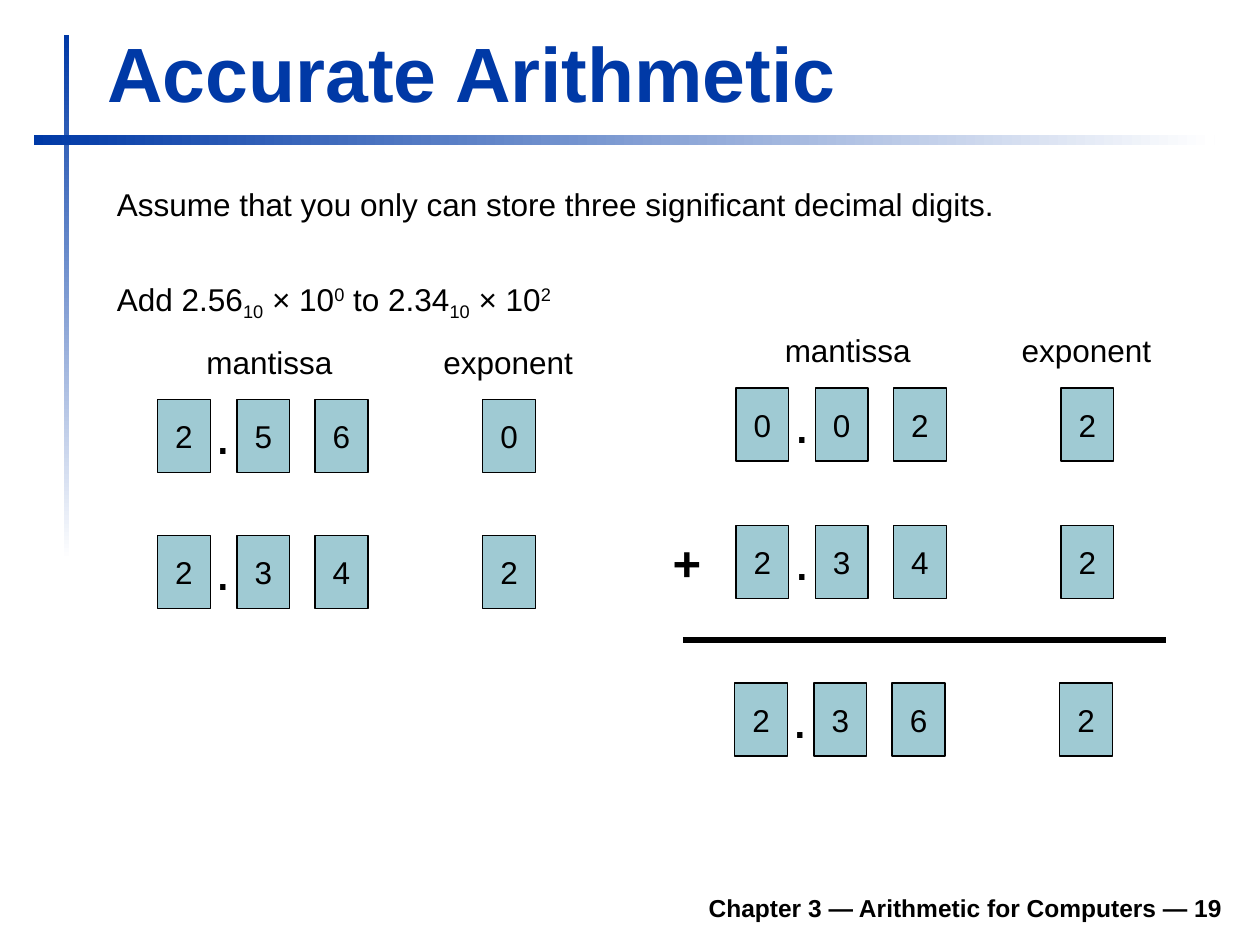
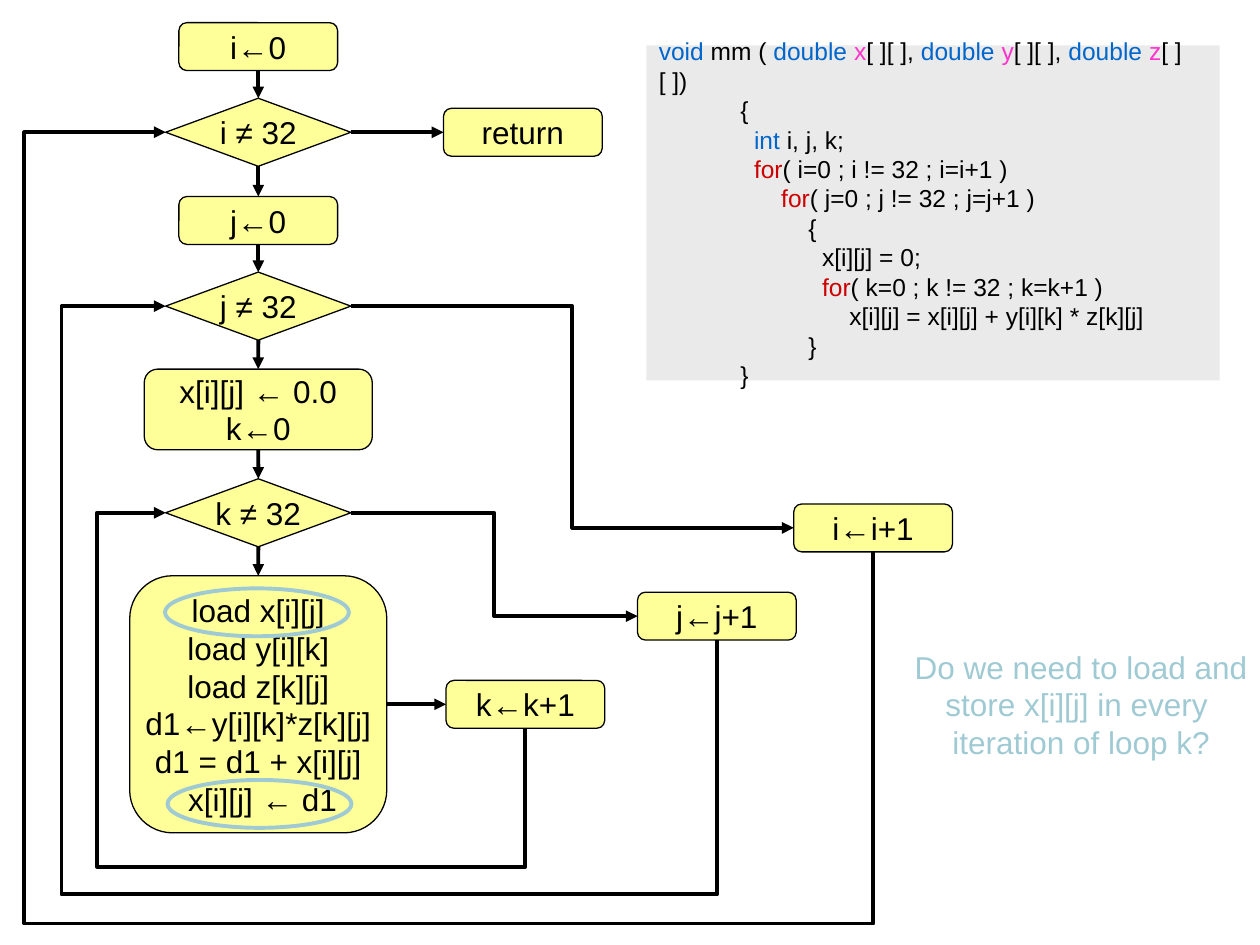
from lxml.etree import SubElement
from pptx import Presentation
from pptx.dml.color import RGBColor
from pptx.enum.shapes import MSO_CONNECTOR as Line, MSO_SHAPE as Shape
from pptx.enum.text import MSO_ANCHOR as Anchor, MSO_AUTO_SIZE as AutoSize, PP_ALIGN as Align
from pptx.oxml.ns import qn
from pptx.util import Inches, Pt

BLACK = RGBColor(0x00, 0x00, 0x00)
WHITE = RGBColor(0xFF, 0xFF, 0xFF)
NAVY = RGBColor(0x00, 0x39, 0xA6)
TEAL = RGBColor(0x9F, 0xCA, 0xD3)
YELLOW = RGBColor(0xFF, 0xFF, 0x99)
GRAY = RGBColor(0xEA, 0xEA, 0xEA)
BLUE = RGBColor(0x00, 0x66, 0xCC)
PINK = RGBColor(0xFF, 0x33, 0xCC)
RED = RGBColor(0xCC, 0x00, 0x00)

FONT = "Arial"
TITLE_ONLY, BLANK = 5, 6
TOP, LEFT, BOTTOM, RIGHT = range(4)
SUBSCRIPT, SUPERSCRIPT = "-25000", "30000"

DIGIT_OFFSETS = (0, 0.63, 1.25, 2.58)
SPACE_WIDTH = 0.054
CHART_CENTER = 2.05

CODE = [
    (0, [("void", BLUE), (" mm ( ", BLACK),
         ("double ", BLUE), ("x", PINK), ("[ ][ ], ", BLACK),
         ("double", BLUE), (" y", PINK), ("[ ][ ], ", BLACK),
         ("double", BLUE), (" z", PINK), ("[ ][ ])", BLACK)]),
    (12, [("{", BLACK)]),
    (14, [("int ", BLUE), ("i, j, k;", BLACK)]),
    (14, [("for", RED), ("( i=0 ; i != 32 ; i=i+1 )", BLACK)]),
    (18, [("for", RED), ("( j=0 ; j != 32 ; j=j+1 )", BLACK)]),
    (22, [("{", BLACK)]),
    (24, [("x[i][j] = 0;", BLACK)]),
    (24, [("for", RED), ("( k=0 ; k != 32 ; k=k+1 )", BLACK)]),
    (28, [("x[i][j] = x[i][j] + y[i][k] * z[k][j]", BLACK)]),
    (22, [("}", BLACK)]),
    (12, [("}", BLACK)]),
]
LOAD_STORE = ["load x[i][j]", "load y[i][k]", "load z[k][j]",
              "d1←y[i][k]*z[k][j]", "d1 = d1 + x[i][j]", " x[i][j] ← d1"]
QUESTION = ["Do we need to load and", "store x[i][j] in every ", "iteration of loop k?"]


class Deck:
    def __init__(self):
        self.presentation = Presentation()
        self.presentation.slide_width = Inches(10)
        self.presentation.slide_height = Inches(7.5)
        self.slide = None

    def add_slide(self, layout):
        self.slide = self.presentation.slides.add_slide(self.presentation.slide_layouts[layout])

    def format_run(self, run, size=18, color=BLACK, bold=False):
        run.font.name = FONT
        run.font.size = Pt(size)
        run.font.color.rgb = color
        run.font.bold = bold

    def set_lines(self, shape, lines, align=Align.LEFT, anchor=Anchor.TOP, **style):
        frame = shape.text_frame
        frame.word_wrap = False
        frame.auto_size = AutoSize.NONE
        frame.vertical_anchor = anchor
        frame.text = "\n".join(lines)
        for paragraph in frame.paragraphs:
            paragraph.alignment = align
            for run in paragraph.runs:
                self.format_run(run, **style)

    def title(self, text):
        title = self.slide.shapes.title
        title.left, title.top = Inches(0.75), Inches(0.16)
        title.width, title.height = Inches(9.03), Inches(0.83)
        self.set_lines(title, [text], anchor=Anchor.BOTTOM, size=44, color=NAVY, bold=True)

    def text(self, left, top, width, height, lines, **style):
        box = self.slide.shapes.add_textbox(Inches(left), Inches(top), Inches(width), Inches(height))
        self.set_lines(box, lines, **style)
        return box

    def shape(self, kind, left, top, width, height, fill=None, line=None, weight=0.75):
        shape = self.slide.shapes.add_shape(
            kind, Inches(left), Inches(top), Inches(width), Inches(height))
        shape.shadow.inherit = False
        if fill is None:
            shape.fill.background()
        else:
            shape.fill.solid()
            shape.fill.fore_color.rgb = fill
        if line is None:
            shape.line.fill.background()
        else:
            shape.line.color.rgb = line
            shape.line.width = Pt(weight)
        return shape

    def band(self, left, top, width, height, angle):
        fill = self.shape(Shape.RECTANGLE, left, top, width, height).fill
        fill.gradient()
        fill.gradient_angle = angle
        for stop, color in zip(fill.gradient_stops, (NAVY, WHITE)):
            stop.color.rgb = color

    def footer(self, text):
        self.text(1.85, 6.98, 7.95, 0.39, [text], align=Align.RIGHT,
                  anchor=Anchor.BOTTOM, size=14, bold=True)

    def formula(self, left, top, width, height, parts):
        paragraph = self.text(left, top, width, height, []).text_frame.paragraphs[0]
        for text, baseline in parts:
            run = paragraph.add_run()
            run.text = text
            self.format_run(run)
            if baseline:
                run.font._element.set("baseline", baseline)

    def number(self, left, top, digits):
        for offset, digit in zip(DIGIT_OFFSETS, digits):
            cell = self.shape(Shape.RECTANGLE, left + offset, top, 0.42, 0.58, TEAL, BLACK)
            self.set_lines(cell, [digit], align=Align.CENTER, anchor=Anchor.MIDDLE)
        self.text(left + 0.36, top - 0.06, 0.33, 0.64, ["."],
                  align=Align.CENTER, anchor=Anchor.MIDDLE, size=32)

    def number_labels(self, left, top):
        self.text(left + 0.29, top, 1.21, 0.4, ["mantissa"])
        self.text(left + 2.17, top, 1.24, 0.4, ["exponent"])

    def code(self, left, top, width, height, lines):
        panel = self.shape(Shape.RECTANGLE, left, top, width, height, GRAY)
        self.set_lines(panel, [""] * len(lines), anchor=Anchor.MIDDLE)
        panel.text_frame.word_wrap = True
        for paragraph, (spaces, parts) in zip(panel.text_frame.paragraphs, lines):
            paragraph._p.get_or_add_pPr().set("marL", str(Inches(spaces * SPACE_WIDTH)))
            for text, color in parts:
                run = paragraph.add_run()
                run.text = text
                self.format_run(run, size=14, color=color)

    def node(self, kind, center, top, width, height, lines):
        node = self.shape(kind, center - width / 2, top, width, height, YELLOW, BLACK)
        self.set_lines(node, lines, align=Align.CENTER, anchor=Anchor.MIDDLE)
        return node

    def step(self, center, top, *lines, width=1.26, height=0.38):
        return self.node(Shape.ROUNDED_RECTANGLE, center, top, width, height, lines)

    def decision(self, top, text):
        return self.node(Shape.FLOWCHART_DECISION, CHART_CENTER, top, 1.47, 0.54, [text])

    def line(self, start_x, start_y, end_x, end_y, kind=Line.STRAIGHT, weight=2.25):
        line = self.slide.shapes.add_connector(
            kind, Inches(start_x), Inches(start_y), Inches(end_x), Inches(end_y))
        line.line.color.rgb = BLACK
        line.line.width = Pt(weight)
        SubElement(line._element.spPr, qn("a:effectLst"))
        return line

    def arrow(self, start, start_site, end, end_site, kind=Line.STRAIGHT):
        arrow = self.line(0, 0, 0, 0, kind)
        arrow.begin_connect(start, start_site)
        arrow.end_connect(end, end_site)
        SubElement(arrow.line._get_or_add_ln(), qn("a:tailEnd"), type="triangle")
        return arrow

    def loop_back(self, start, end, lane_left, lane_bottom):
        arrow = self.arrow(start, BOTTOM, end, LEFT, Line.ELBOW)
        start_x, start_y = arrow.begin_x, arrow.begin_y
        end_x, end_y = arrow.end_x, arrow.end_y
        rise, run = start_y - end_y, start_x - end_x
        arrow.left = (start_x + end_x - rise) // 2
        arrow.top = (start_y + end_y - run) // 2
        arrow.width, arrow.height = rise, run
        properties = arrow._element.spPr
        transform = properties.find(qn("a:xfrm"))
        transform.attrib.pop("flipH", None)
        transform.set("flipV", "1")
        transform.set("rot", "16200000")
        geometry = properties.find(qn("a:prstGeom"))
        geometry.set("prst", "bentConnector4")
        guides = geometry.find(qn("a:avLst"))
        if guides is None:
            guides = SubElement(geometry, qn("a:avLst"))
        ratios = ((start_y - Inches(lane_bottom)) / rise, (start_x - Inches(lane_left)) / run)
        for index, ratio in enumerate(ratios, 1):
            SubElement(guides, qn("a:gd"), name=f"adj{index}", fmla=f"val {round(ratio * 100000)}")


def build_arithmetic(deck):
    deck.add_slide(TITLE_ONLY)
    deck.band(0.51, 0.28, 0.04, 4.17, 270)
    deck.band(0.27, 1.07, 9.37, 0.08, 0)
    deck.title("Accurate Arithmetic")
    deck.footer("Chapter 3 — Arithmetic for Computers — 19")
    deck.text(0.83, 1.42, 7.25, 0.4,
              ["Assume that you only can store three significant decimal digits."])
    deck.formula(0.83, 2.17, 3.77, 0.4, [
        ("Add 2.56", None), ("10", SUBSCRIPT), (" × 10", None), ("0", SUPERSCRIPT),
        (" to 2.34", None), ("10", SUBSCRIPT), (" × 10", None), ("2", SUPERSCRIPT)])
    for left, top in ((1.25, 2.67), (5.84, 2.58)):
        deck.number_labels(left, top)
    for left, top, digits in ((1.25, 3.17, "2560"), (1.25, 4.25, "2342"),
                              (5.84, 3.08, "0022"), (5.84, 4.17, "2342"),
                              (5.83, 5.42, "2362")):
        deck.number(left, top, digits)
    deck.text(5.24, 4.18, 0.43, 0.57, ["+"], size=28, bold=True)
    deck.line(5.42, 5.08, 9.25, 5.08, weight=3)


def build_flowchart(deck):
    deck.add_slide(BLANK)
    deck.code(5.13, 0.36, 4.55, 2.66, CODE)
    start_i = deck.step(CHART_CENTER, 0.18, "i←0")
    test_i = deck.decision(0.78, "i ≠ 32")
    start_j = deck.step(CHART_CENTER, 1.56, "j←0")
    test_j = deck.decision(2.16, "j ≠ 32")
    start_k = deck.step(CHART_CENTER, 2.93, "x[i][j] ← 0.0", "k←0", width=1.81, height=0.64)
    test_k = deck.decision(3.8, "k ≠ 32")
    body = deck.step(CHART_CENTER, 4.57, *LOAD_STORE, width=2.04, height=2.04)
    next_k = deck.step(4.17, 5.4, "k←k+1")
    next_j = deck.step(5.69, 4.7, "j←j+1")
    next_i = deck.step(6.93, 4, "i←i+1")
    finish = deck.step(4.15, 0.86, "return")

    column = [start_i, test_i, start_j, test_j, start_k, test_k, body]
    for upper, lower in zip(column, column[1:]):
        deck.arrow(upper, BOTTOM, lower, TOP)
    deck.arrow(test_i, RIGHT, finish, LEFT)
    deck.arrow(body, RIGHT, next_k, LEFT)
    deck.arrow(test_j, RIGHT, next_i, LEFT, Line.ELBOW)
    deck.arrow(test_k, RIGHT, next_j, LEFT, Line.ELBOW)
    deck.loop_back(next_k, test_k, 0.77, 6.88)
    deck.loop_back(next_j, test_j, 0.49, 7.1)
    deck.loop_back(next_i, test_i, 0.19, 7.33)

    for left, top in ((1.31, 4.67), (1.33, 6.19)):
        deck.shape(Shape.OVAL, left, top, 1.46, 0.38, line=TEAL, weight=2.25)
    deck.text(7.16, 5.09, 2.84, 1, QUESTION, align=Align.CENTER, anchor=Anchor.MIDDLE, color=TEAL)


def main():
    deck = Deck()
    build_arithmetic(deck)
    build_flowchart(deck)
    deck.presentation.save("out.pptx")


if __name__ == "__main__":
    main()
